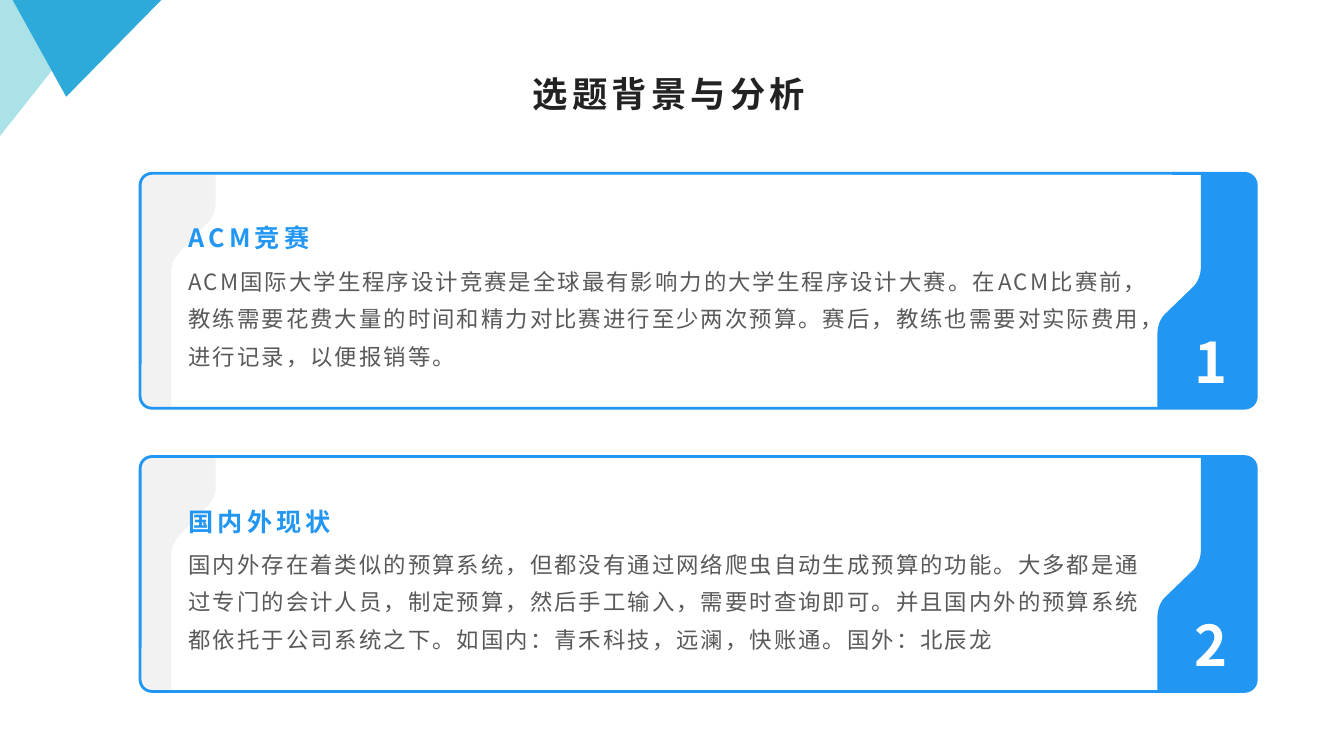
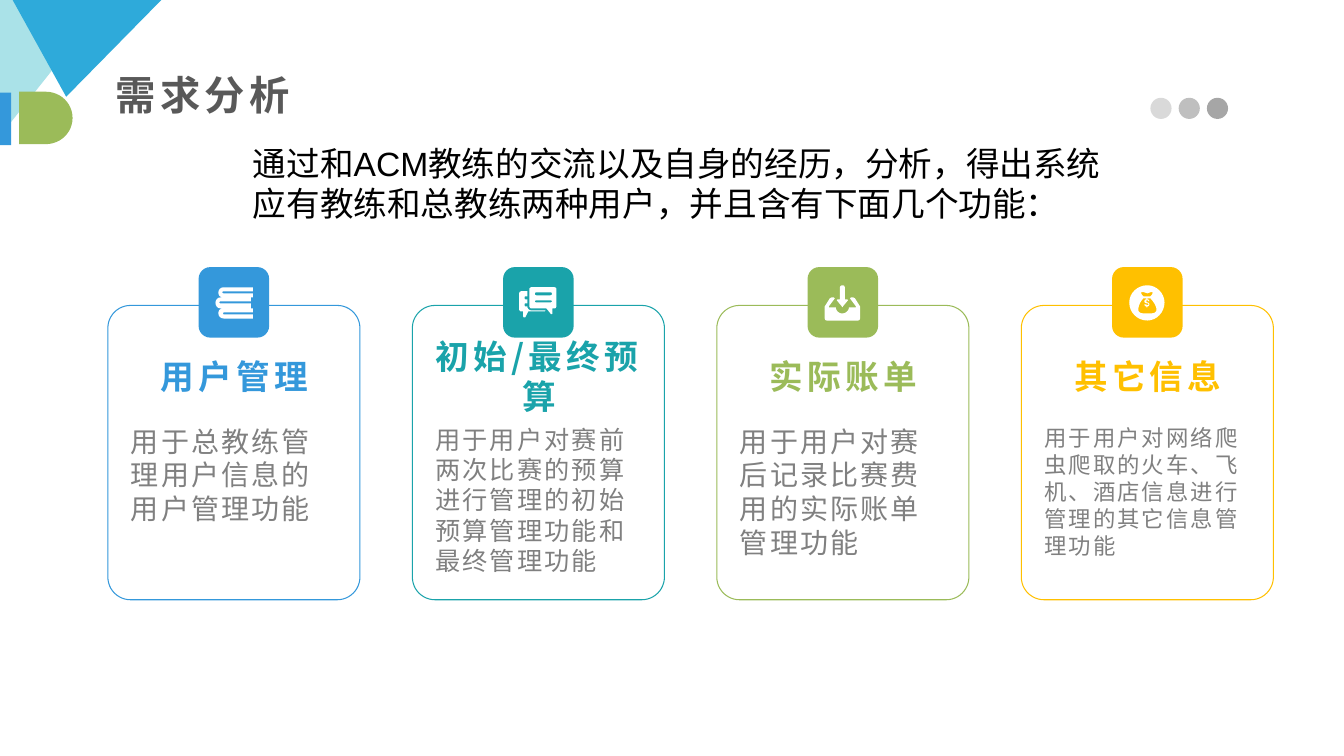
from lxml import etree
from pptx import Presentation
from pptx import util as u
from pptx.dml.color import RGBColor
from pptx.enum import lang, shapes, text
from pptx.oxml.ns import qn

PX = 9144  # EMU in one px, 100 px to the inch
FONT = "Noto Sans CJK SC"

WHITE = RGBColor(0xFF, 0xFF, 0xFF)
BLACK = RGBColor(0, 0, 0)
INK = RGBColor(0x22, 0x22, 0x22)
DARK_GREY = RGBColor(0x59, 0x59, 0x59)
MID_GREY = RGBColor(0x80, 0x80, 0x80)
PALE_GREY = RGBColor(0xF2, 0xF2, 0xF2)
PALE_AQUA = RGBColor(0xAA, 0xE2, 0xE8)
SKY = RGBColor(0x2E, 0xAA, 0xDA)
BRIGHT_BLUE = RGBColor(0x21, 0x96, 0xF3)
BLUE = RGBColor(0x34, 0x98, 0xDB)
TEAL = RGBColor(0x1A, 0xA3, 0xAA)
GREEN = RGBColor(0x9B, 0xBB, 0x59)
AMBER = RGBColor(0xFF, 0xC0, 0x00)
DOT_GREYS = [RGBColor(level, level, level) for level in (0xD9, 0xBF, 0xA6)]

LEFT, CENTER = text.PP_ALIGN.LEFT, text.PP_ALIGN.CENTER
TOP, MIDDLE, BOTTOM = (text.MSO_ANCHOR.TOP, text.MSO_ANCHOR.MIDDLE,
                       text.MSO_ANCHOR.BOTTOM)
GROW = text.MSO_AUTO_SIZE.SHAPE_TO_FIT_TEXT
KIND = shapes.MSO_SHAPE

BACKGROUND_TITLE = "选题背景与分析"
BACKGROUND_CARDS = [
    ("ACM竞赛",
     "ACM国际大学生程序设计竞赛是全球最有影响力的大学生程序设计大赛。在ACM比赛前，"
     "教练需要花费大量的时间和精力对比赛进行至少两次预算。赛后，教练也需要对实际费用，"
     "进行记录，以便报销等。"),
    ("国内外现状",
     "国内外存在着类似的预算系统，但都没有通过网络爬虫自动生成预算的功能。大多都是通"
     "过专门的会计人员，制定预算，然后手工输入，需要时查询即可。并且国内外的预算系统"
     "都依托于公司系统之下。如国内：青禾科技，远澜，快账通。国外：北辰龙"),
]
NEEDS_TITLE = "需求分析"
NEEDS_INTRO = ("通过和ACM教练的交流以及自身的经历，分析，得出系统应有教练和总教练两种用户，"
               "并且含有下面几个功能：")

# Outlines in px: M starts a contour, L goes straight, C curves
CARD_TAB = ("M1097 233 C1103 233 1107 228 1107 222 L1107 12 C1107 6 1103 1 1097 1 "
            "L1052 1 1052 94 C1052 100 1049 108 1045 112 L1016 140 "
            "C1012 144 1009 152 1009 158 L1009 233")
CARD_EDGE = ("M11 1 C5 1 1 6 1 12 L1 222 C1 228 5 233 11 233 L31 233 31 96 "
             "C31 90 35 82 39 78 L67 49 C71 45 75 37 75 31 L75 1")
BOOKS = ("M25 47 C24 47 24 45 25 45 L54 45 54 41 52 41 52 36 22 36 C20 36 20 34 22 34 "
         "L52 34 52 30 54 30 54 26 25 26 C23 26 23 24 25 24 L54 24 54 20 25 20 "
         "C18 20 18 30 24 30 L22 30 C15 30 15 41 22 41 L24 41 C18 41 18 51 25 51 "
         "L54 51 54 47")
CHAT = ("M33 33 C31 33 31 35 33 35 L47 35 C49 35 49 33 47 33 "
        "M33 25 C31 25 31 28 33 28 L47 28 C49 28 49 25 47 25 "
        "M18 24 L24 24 24 29 22 29 C21 29 21 32 22 32 L24 32 24 36 22 36 "
        "C21 36 21 39 22 39 L24 39 C24 41 26 43 28 43 L42 43 C42 44 41 44 40 44 "
        "L25 44 22 50 C21 50 20 50 20 49 L20 44 18 44 C17 44 16 43 16 42 L16 26 "
        "C16 25 17 24 18 24 "
        "M28 20 L51 20 C52 20 53 21 53 22 L53 38 C53 40 52 41 51 41 L49 41 49 46 "
        "C49 47 47 47 47 46 L43 41 28 41 C27 41 26 40 26 38 L26 22 C26 21 27 20 28 20")
INBOX = ("M24 30 L26 30 27 31 21 39 21 40 28 40 C28 43 31 46 34 46 C38 46 41 43 41 40 "
         "L48 40 48 39 42 31 43 30 45 30 47 31 52 39 52 51 C52 52 51 53 50 53 L19 53 "
         "C18 53 17 52 17 51 L17 39 22 31 24 30 "
         "M35 18 C36 18 37 19 37 21 L37 32 39 32 C40 32 40 33 40 33 L35 39 "
         "C35 40 34 40 34 39 L29 33 C29 32 30 32 30 32 L32 32 32 21 C32 19 33 18 35 18")
MONEY_BAG = ("M35 18 C25 18 17 26 17 35 C17 45 25 53 35 53 C44 53 52 45 52 35 "
             "C52 26 44 18 35 18 "
             "M29 25 C31 24 34 26 35 26 C36 26 39 24 40 25 C41 26 38 29 38 29 L31 29 "
             "C31 29 28 26 29 25 "
             "M35 46 C30 46 26 46 26 42 C26 39 28 34 31 31 L38 31 C41 34 44 39 44 42 "
             "C44 46 40 46 35 46 "
             "M35 33 C36 33 36 34 36 34 L37 34 C37 33 36 32 35 32 L35 31 34 31 34 32 "
             "C33 32 32 33 32 34 C32 35 33 36 35 36 C36 36 36 37 36 37 "
             "C36 38 34 38 34 37 L32 37 C32 38 33 39 34 39 L34 40 35 40 35 39 "
             "C36 39 37 38 37 37 C37 36 36 35 35 35 C34 35 34 34 34 34 C34 33 34 33 35 33")

# heading, heading rows, description, its text size, colour, icon
NEEDS_CARDS = [
    ("用户管理", 1, "用于总教练管理用户信息的用户管理功能", 20, BLUE, BOOKS),
    ("初始/最终预算", 2, "用于用户对赛前两次比赛的预算进行管理的初始预算管理功能和最终管理功能",
     18, TEAL, CHAT),
    ("实际账单", 1, "用于用户对赛后记录比赛费用的实际账单管理功能", 20, GREEN, INBOX),
    ("其它信息", 1, "用于用户对网络爬虫爬取的火车、飞机、酒店信息进行管理的其它信息管理功能",
     16, AMBER, MONEY_BAG),
]


def emu(*lengths):
    return [round(length * PX) for length in lengths]


def write(frame, words, size, color, bold=False, spacing=0, font=FONT,
          frame_format=None, para_format=None):
    """Fill a text frame with one formatted run; spacing is in points."""
    para = frame.paragraphs[0]
    span = para.add_run()
    span.text = words
    formats = [
        (frame, {"word_wrap": True, "auto_size": text.MSO_AUTO_SIZE.NONE,
                 "vertical_anchor": TOP, **(frame_format or {})}),
        (para, {"alignment": LEFT, **(para_format or {})}),
        (span.font, {"size": u.Pt(size), "bold": bold, "name": font,
                     "language_id": lang.MSO_LANGUAGE_ID.SIMPLIFIED_CHINESE}),
    ]
    for target, values in formats:
        for name, value in values.items():
            setattr(target, name, value)
    span.font.color.rgb = color
    properties = span._r.get_or_add_rPr()
    properties.set("spc", str(round(spacing * 100)))
    etree.SubElement(properties, qn("a:ea")).set("typeface", FONT)


def add_text(slide, place, words, size, color, **options):
    box = slide.shapes.add_textbox(*emu(*place))
    write(box.text_frame, words, size, color, **options)


def set_title(slide, place, words, size, color, anchor, align):
    title = slide.shapes.title
    title.left, title.top, title.width, title.height = emu(*place)
    write(title.text_frame, words, size, color, bold=True, spacing=3,
          frame_format={"vertical_anchor": anchor}, para_format={"alignment": align})


def paint(shape, fill=None, line=None, width=1):
    shape.shadow.inherit = False
    for part, color in ((shape.fill, fill), (shape.line.fill, line)):
        if color is None:
            part.background()
        else:
            part.solid()
            part.fore_color.rgb = color
    if line is not None:
        shape.line.width = u.Pt(width)


def add_shape(slide, kind, place, adjust=None, **colors):
    shape = slide.shapes.add_shape(kind, *emu(*place))
    if adjust is not None:
        shape.adjustments[0] = adjust
    paint(shape, **colors)
    return shape


def curve(start, first, second, end, steps=8):
    """Points along a cubic curve, without its start."""
    return [tuple((1 - t) ** 3 * a + 3 * (1 - t) ** 2 * t * b
                  + 3 * (1 - t) * t ** 2 * c + t ** 3 * d
                  for a, b, c, d in zip(start, first, second, end))
            for t in (step / steps for step in range(1, steps + 1))]


def contours(outline):
    """Yield the list of points of each contour of an outline."""
    for contour in outline.split("M")[1:]:
        points = []
        for step in contour.replace("C", "|C").replace("L", "|L").split("|"):
            values = [int(value) for value in step.strip("CL ").split()]
            pairs = list(zip(values[::2], values[1::2]))
            points += curve(points[-1], *pairs) if step[0] == "C" else pairs
        yield points


def add_outline(slide, left, top, outline, color):
    builder = None
    for points in contours(outline):
        points = [emu(left + x, top + y) for x, y in points]
        if builder is None:
            builder = slide.shapes.build_freeform(*points[0], scale=1.0)
        else:
            builder.move_to(*points[0])
        builder.add_line_segments(points[1:], close=True)
    paint(builder.convert_to_shape(), fill=color)


def decorate_layout(layout, slide):
    """Keep only the title of the layout and give it the corner triangles."""
    for holder in list(layout.placeholders):
        if holder.placeholder_format.idx != 0:
            holder.element.getparent().remove(holder.element)
    aqua = add_shape(slide, KIND.RIGHT_TRIANGLE, (0, 0, 107, 135), fill=PALE_AQUA)
    aqua.element.spPr.find(qn("a:xfrm")).set("flipV", "1")
    sky = add_shape(slide, KIND.ISOSCELES_TRIANGLE, (12, -1, 149, 97), 0.64, fill=SKY)
    sky.rotation = 180
    for position, triangle in enumerate((aqua, sky), start=2):
        layout.shapes.element.insert(position, triangle.element)


def fill_background_slide(slide):
    set_title(slide, (51, 67, 1225, 57), BACKGROUND_TITLE, 25.2, INK, TOP, CENTER)
    left = 139
    for index, (heading, body) in enumerate(BACKGROUND_CARDS):
        top = 172 + 281 * index
        add_outline(slide, left, top, CARD_TAB, BRIGHT_BLUE)
        add_outline(slide, left, top, CARD_EDGE, PALE_GREY)
        add_shape(slide, KIND.ROUNDED_RECTANGLE, (left, top, 1107, 233), 0.05,
                  line=BRIGHT_BLUE, width=2)
        add_text(slide, (left + 38, top + 83, 971, 128), body, 16, DARK_GREY,
                 spacing=1.5, frame_format={"margin_top": 0},
                 para_format={"line_spacing": 1.4})
        add_text(slide, (left + 38, top + 34, 970, 45), heading, 18, BRIGHT_BLUE,
                 bold=True, spacing=3,
                 frame_format={"margin_bottom": 0, "vertical_anchor": BOTTOM})
        add_text(slide, (left + 1017, top + 148, 91, 77), str(index + 1), 40, WHITE,
                 bold=True, frame_format={"auto_size": GROW},
                 para_format={"alignment": CENTER})


def fill_needs_slide(slide):
    set_title(slide, (105, 62, 436, 64), NEEDS_TITLE, 28.8, DARK_GREY, MIDDLE, LEFT)
    add_shape(slide, KIND.RECTANGLE, (0, 92, 11, 52), fill=BLUE)
    add_shape(slide, KIND.FLOWCHART_DELAY, (19, 91, 53, 52), fill=GREEN)
    for index, grey in enumerate(DOT_GREYS):
        add_shape(slide, KIND.OVAL, (1141 + 28 * index, 97, 21, 21), fill=grey)
    top = 303
    for index, (heading, rows, body, size, color, icon) in enumerate(NEEDS_CARDS):
        left = 107 + 302 * index
        badge_left, badge_top = left + 90, top - 38
        heading_height = 9 + 41 * rows
        add_shape(slide, KIND.ROUNDED_RECTANGLE, (left, top, 250, 292), 0.09,
                  line=color, width=0.75)
        add_shape(slide, KIND.ROUNDED_RECTANGLE, (badge_left, badge_top, 70, 70),
                  fill=color)
        add_outline(slide, badge_left, badge_top, icon, WHITE)
        add_text(slide, (left + 13, top + 70 - heading_height / 2, 225, heading_height),
                 heading, 24, color, bold=True, spacing=3,
                 frame_format={"auto_size": GROW, "vertical_anchor": MIDDLE},
                 para_format={"alignment": CENTER})
        add_text(slide, (left + 13, top + 113, 225, 150), body, size, MID_GREY,
                 spacing=1.5)
    add_text(slide, (241, 137, 879, 91), NEEDS_INTRO, 24, BLACK, font="Arial",
             frame_format={"auto_size": GROW})


def main():
    deck = Presentation()
    deck.slide_width, deck.slide_height = emu(1333, 750)
    layout = deck.slide_layouts.get_by_name("Title Only")
    pages = [deck.slides.add_slide(layout) for _ in range(2)]
    decorate_layout(layout, pages[0])
    fill_background_slide(pages[0])
    fill_needs_slide(pages[1])
    deck.save("out.pptx")


if __name__ == "__main__":
    main()
